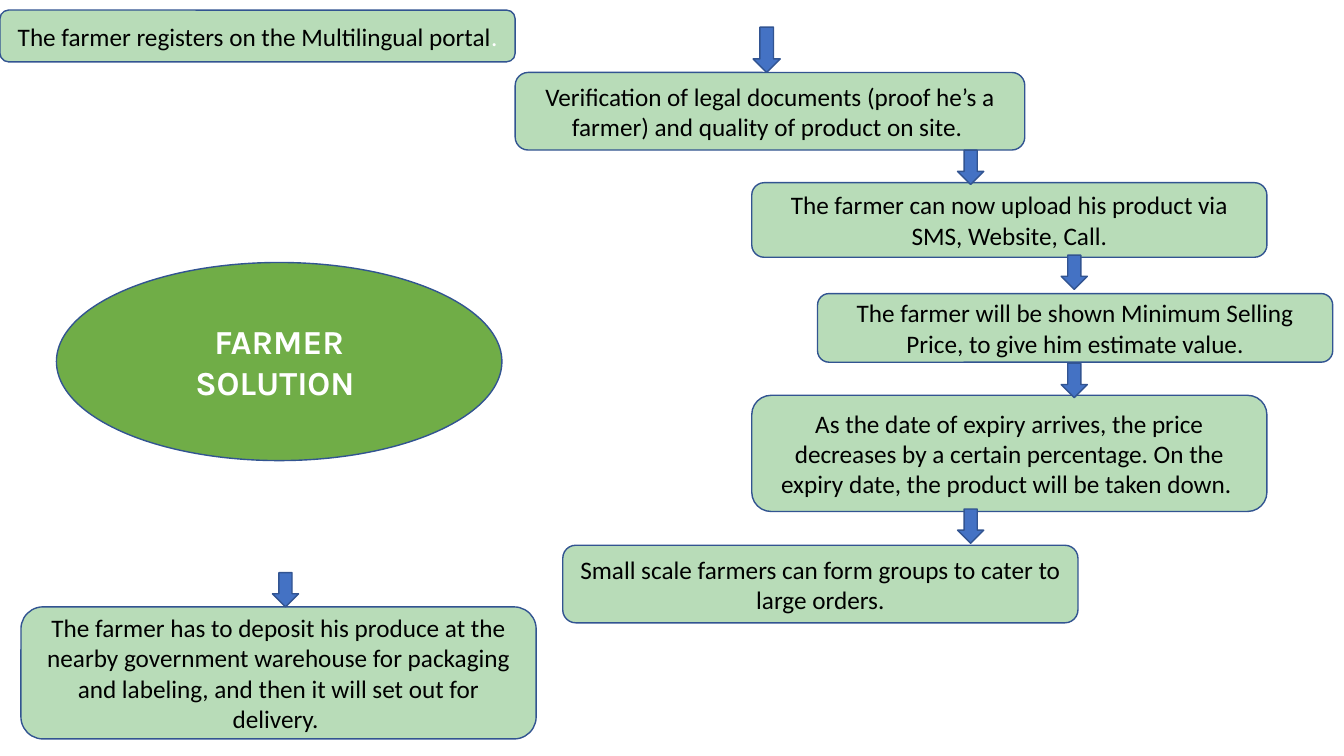
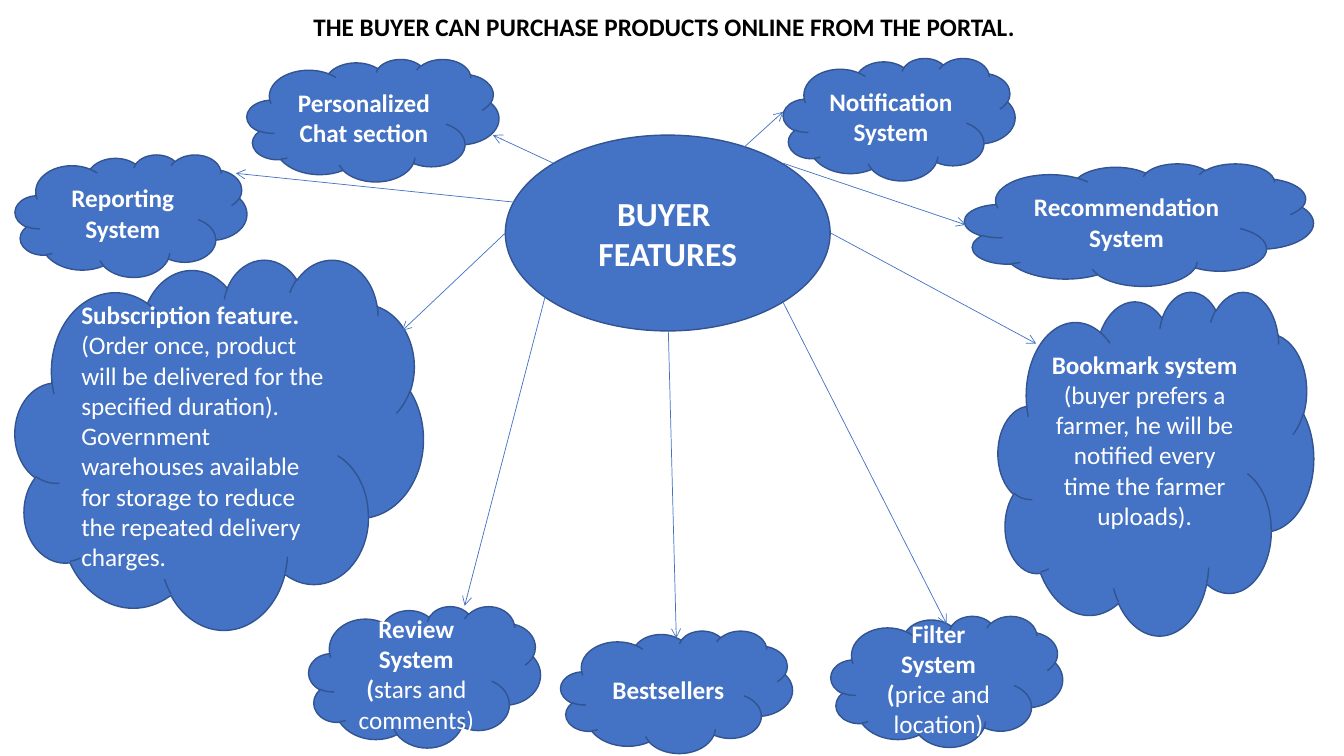
import pptx
import pptx.util
import pptx.dml.color
import pptx.enum.shapes
import pptx.enum.text
import pptx.oxml
import pptx.oxml.ns

Pt = pptx.util.Pt
Kind = pptx.enum.shapes.MSO_SHAPE
Align = pptx.enum.text.PP_ALIGN
Anchor = pptx.enum.text.MSO_ANCHOR

BLUE, EDGE = "4472C4", "325491"
MINT, GREEN = "B8DCB8", "70AD47"
BLACK, WHITE = "000000", "FFFFFF"


def tint(code):
    return pptx.dml.color.RGBColor.from_string(code)


def write(frame, text, tail="", size=18, face="Calibri", color=WHITE,
          tone=None, bold=False, align=Align.CENTER):
    frame.word_wrap = True
    lines = text.split("\n")
    for i, line in enumerate(lines):
        par = frame.paragraphs[0] if i == 0 else frame.add_paragraph()
        par.alignment = align
        parts = [(line, bold, color)]
        if tail and i == len(lines) - 1:
            parts.append((tail, False, tone or color))
        for words, heavy, shade in parts:
            run = par.add_run()
            run.text = words
            run.font.size = Pt(size)
            run.font.name = face
            run.font.bold = heavy
            run.font.color.rgb = tint(shade)


class Deck:
    def __init__(self):
        self.file = pptx.Presentation()
        self.file.slide_width = Pt(960)
        self.file.slide_height = Pt(540)
        self.slide = None

    def page(self):
        self.slide = self.file.slides.add_slide(self.file.slide_layouts[6])

    def shape(self, kind, box, fill, text="", side=7.2, base=3.6, **style):
        item = self.slide.shapes.add_shape(kind, *map(Pt, box))
        item.shadow.inherit = False
        item.fill.solid()
        item.fill.fore_color.rgb = tint(fill)
        item.line.color.rgb = tint(EDGE)
        item.line.width = Pt(1)
        if text:
            frame = item.text_frame
            frame.vertical_anchor = Anchor.MIDDLE
            frame.margin_left = frame.margin_right = Pt(side)
            frame.margin_bottom = Pt(base)
            write(frame, text, **style)

    def step(self, box, text, **style):
        self.shape(Kind.ROUNDED_RECTANGLE, box, MINT, text, color=BLACK, **style)

    def arrow(self, left, top, width=18.7, height=24.5):
        self.shape(Kind.DOWN_ARROW, (left, top, width, height), BLUE)

    def oval(self, box, fill, text, **style):
        self.shape(Kind.OVAL, box, fill, text, size=24, bold=True, **style)

    def cloud(self, box, text, **style):
        self.shape(Kind.CLOUD, box, BLUE, text, bold=True, **style)

    def ray(self, *ends):
        link = self.slide.shapes.add_connector(
            pptx.enum.shapes.MSO_CONNECTOR.STRAIGHT, *map(Pt, ends))
        link.line.color.rgb = tint(BLUE)
        link.line.width = Pt(0.5)
        space = pptx.oxml.ns.nsdecls("a")
        link.line._get_or_add_ln().append(
            pptx.oxml.parse_xml(f'<a:tailEnd {space} type="arrow"/>'))
        link._element.spPr.append(pptx.oxml.parse_xml(f"<a:effectLst {space}/>"))

    def title(self, box, text):
        item = self.slide.shapes.add_textbox(*map(Pt, box))
        write(item.text_frame, text, color=BLACK, bold=True)


deck = Deck()

deck.page()
wide = 368
deck.step((0, 7.2, wide, 37), "The farmer registers on the Multilingual portal",
          tail=".", tone=WHITE)
for left, top, width, height, text in [
    (368, 51.8, 364, 55.4,
     "Verification of legal documents (proof he’s a farmer) and quality of product on site. "),
    (537, 130.5, wide, 53.3,
     "The farmer can now upload his product via SMS, Website, Call."),
    (584, 209.7, wide, 49,
     "The farmer will be shown Minimum Selling Price, to give him estimate value."),
    (537, 282.4, wide, 83,
     "As the date of expiry arrives, the price decreases by a certain percentage. "
     "On the expiry date, the product will be taken down. "),
    (402, 389.5, wide, 55.4,
     "Small scale farmers can form groups to cater to large orders."),
    (15, 433.5, wide, 94.3,
     "The farmer has to deposit his produce at the nearby government warehouse "
     "for packaging and labeling, and then it will set out for delivery. "),
]:
    deck.step((left, top, width, height), text)
deck.arrow(538, 19.4, 19.4, 32.4)
for left, top in [(684, 107.3), (758, 182.2), (758, 259.5), (684, 363.6), (194.6, 409)]:
    deck.arrow(left, top)
deck.oval((40.3, 187.5, 318.2, 141.5), GREEN, "FARMER SOLUTION ", face="Karla", side=20)

deck.page()
span, rise = 165.6, 87.5
deck.cloud((10.8, 110.4, span, rise), "Reporting System")
deck.cloud((220.5, 433, span, 101), "Review System\n(", tail="stars and comments)")
deck.cloud((400.5, 450.5, span, rise), "Bestsellers")
deck.cloud((593.5, 440, span, 93.6), "Filter System\n(", tail="price and location)")
deck.cloud((689, 116.8, 249.2, rise), "Recommendation System")
deck.cloud((10.8, 185, 291.6, 264.4), "Subscription feature.", align=Align.LEFT,
           tail=" (Order once, product will be delivered for the specified duration). "
                "Government warehouses available for storage to reduce "
                "the repeated delivery charges. ")
deck.cloud((713, 208, 225.4, 245.5), "Bookmark system", base=25.4,
           tail=" (buyer prefers a farmer, he will be notified every time the farmer uploads).")
deck.cloud((176.4, 42.2, 180, rise), "Personalized Chat section")
deck.cloud((559.5, 41.5, span, rise), "Notification\nSystem")
deck.oval((361, 96.5, 232, 139.9), BLUE, "BUYER \nFEATURES")
for ends in [
    (361, 166.4, 287.3, 236.2),
    (390.2, 208.8, 331.9, 432.7),
    (477.4, 236.2, 483.1, 455.8),
    (559.4, 216, 676.1, 445.7),
    (593.3, 166.4, 740.2, 245.5),
    (395.3, 116.6, 352.1, 96.5),
    (370.1, 144.7, 168.5, 123.8),
    (559.4, 116.6, 689.8, 160.6),
    (529.9, 106.6, 559.4, 79.9),
]:
    deck.ray(*ends)
deck.title((10.8, 4.5, 927.4, 29), "THE BUYER CAN PURCHASE PRODUCTS ONLINE FROM THE PORTAL.")

deck.file.save("out.pptx")
